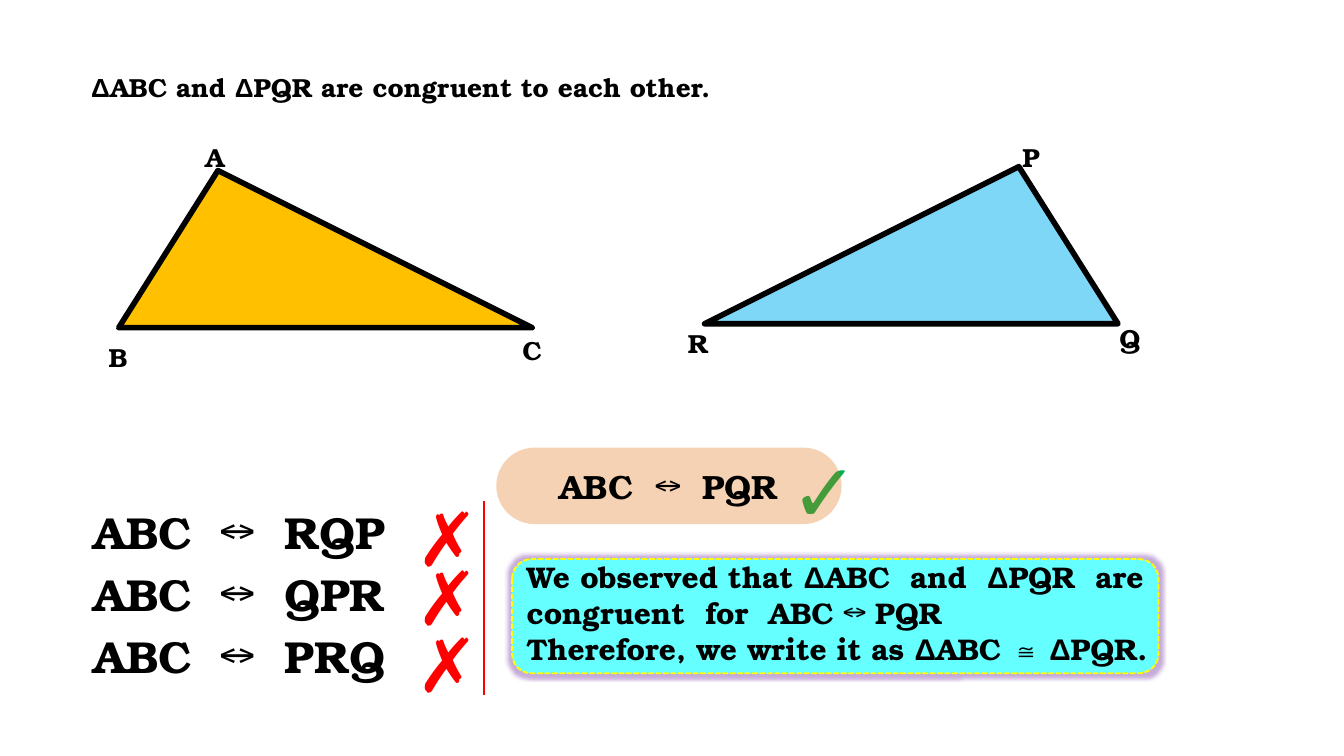
import lxml.etree
import pptx
import pptx.dml.color
import pptx.enum.dml
import pptx.enum.shapes
import pptx.enum.text
import pptx.oxml.ns
import pptx.util

Pt = pptx.util.Pt
SHAPE = pptx.enum.shapes.MSO_SHAPE
ALIGN = pptx.enum.text.PP_ALIGN
qn = pptx.oxml.ns.qn

COLORS = {
    "black": "000000", "amber": "FFC000", "blue": "00B0F0", "red": "FF0000",
    "green": "00B050", "orange": "E46C0A", "cyan": "66FFFF",
    "yellow": "FFFF00", "purple": "7030A0",
}


def rgb(name):
    return pptx.dml.color.RGBColor.from_string(COLORS[name])


def add_alpha(color_element, percent):
    alpha = lxml.etree.SubElement(color_element, qn("a:alpha"))
    alpha.set("val", str(percent * 1000))


class SlideBuilder:
    body_font = "TeX Gyre Bonum"
    symbol_font = "Arial"
    mark_font = "Calibri"

    def __init__(self, slide):
        self.slide = slide

    def set_lines(self, frame, lines, size, color="black", font=None, align=ALIGN.LEFT):
        """Fill a frame; stretches between bars take the symbol font."""
        for index, line in enumerate(lines):
            para = frame.paragraphs[0] if index == 0 else frame.add_paragraph()
            para.alignment = align
            for part, text in enumerate(line.split("|")):
                if not text:
                    continue
                span = para.add_run()
                span.text = text
                span.font.name = self.symbol_font if part % 2 else font or self.body_font
                span.font.size = Pt(size)
                span.font.bold = True
                span.font.color.rgb = rgb(color)

    def text(self, left, top, width, height, lines, size, wrap=True, **style):
        box = self.slide.shapes.add_textbox(Pt(left), Pt(top), Pt(width), Pt(height))
        box.text_frame.word_wrap = wrap
        box.text_frame.auto_size = pptx.enum.text.MSO_AUTO_SIZE.SHAPE_TO_FIT_TEXT
        self.set_lines(box.text_frame, lines, size, **style)

    def shape(self, kind, left, top, width, height, fill, adjust, opacity=100):
        shape = self.slide.shapes.add_shape(kind, Pt(left), Pt(top), Pt(width), Pt(height))
        shape.shadow.inherit = False
        shape.adjustments[0] = adjust
        shape.fill.solid()
        shape.fill.fore_color.rgb = rgb(fill)
        if opacity < 100:
            add_alpha(shape._element.spPr.find(qn("a:solidFill"))[0], opacity)
        shape.line.fill.background()
        return shape

    def outline(self, shape, color, width):
        shape.line.color.rgb = rgb(color)
        shape.line.width = Pt(width)

    def triangle(self, left, top, fill, opacity=100, flipped=False):
        shape = self.shape(SHAPE.ISOSCELES_TRIANGLE, left, top, 221.5, 84.2,
                           fill, 0.24, opacity)
        self.outline(shape, "black", 3)
        lxml.etree.SubElement(shape._element.spPr.find(qn("a:ln")), qn("a:round"))
        if flipped:
            shape._element.spPr.find(qn("a:xfrm")).set("flipH", "1")

    def glow(self, shape, color, radius, opacity):
        effects = shape._element.spPr.find(qn("a:effectLst"))
        glow = lxml.etree.SubElement(effects, qn("a:glow"), rad=str(int(Pt(radius))))
        tint = lxml.etree.SubElement(glow, qn("a:srgbClr"), val=COLORS[color])
        add_alpha(tint, opacity)

    def line(self, x1, y1, x2, y2, color, width):
        line = self.slide.shapes.add_connector(
            pptx.enum.shapes.MSO_CONNECTOR.STRAIGHT, Pt(x1), Pt(y1), Pt(x2), Pt(y2))
        self.outline(line, color, width)
        lxml.etree.SubElement(line._element.spPr, qn("a:effectLst"))


def main():
    deck = pptx.Presentation()
    deck.slide_width, deck.slide_height = Pt(720), Pt(405)
    page = SlideBuilder(deck.slides.add_slide(deck.slide_layouts[6]))

    # Statement
    page.text(41.8, 34.6, 354, 24.5,
              ["|Δ|ABC and |Δ|PQR are congruent to each other."], 14)

    # Triangles with their corner labels
    page.triangle(63.6, 91.4, "amber")
    page.triangle(377.5, 89.3, "blue", opacity=50, flipped=True)
    for label, left, top in [("A", 100, 72), ("B", 48.2, 179.3), ("C", 270, 175.7)]:
        page.text(left, top, 30.2, 24.5, [label], 14, align=ALIGN.CENTER)
    for label, left, top in [("P", 540.7, 72), ("R", 361.4, 172), ("Q", 592.6, 169.2)]:
        page.text(left, top, 25, 24.5, [label], 14, wrap=False)

    # Wrong correspondences, each with a cross
    wrong = [("RQP", 260), ("QPR", 291.6), ("PRQ", 327.6)]
    for row, (order, cross_top) in enumerate(wrong):
        page.text(43.2, 267.1 + 33.1 * row, 256.3, 36, [f"ABC  ↔  {order}"], 24)
        page.text(216, cross_top, 38.9, 55.4, ["✗"], 40,
                  color="red", font=page.mark_font)
    page.line(259.2, 268.6, 259.2, 372.2, "red", 0.75)

    # Right correspondence with a tick
    page.text(416.2, 232.6, 38.9, 60.5, ["✓"], 44, color="green", font=page.mark_font)
    pill = page.shape(SHAPE.ROUNDED_RECTANGLE, 265.9, 239.8, 185, 41,
                      "orange", 0.5, opacity=30)
    pill.text_frame.vertical_anchor = pptx.enum.text.MSO_ANCHOR.MIDDLE
    page.set_lines(pill.text_frame, ["ABC  ↔  PQR"], 18, align=ALIGN.CENTER)

    # Conclusion panel
    panel = page.shape(SHAPE.ROUNDED_RECTANGLE, 274.3, 299.5, 346.3, 61.2, "cyan", 0.17)
    page.outline(panel, "yellow", 1)
    panel.line.dash_style = pptx.enum.dml.MSO_LINE.SQUARE_DOT
    page.glow(panel, "purple", 4, 40)
    page.text(275, 295.9, 358.6, 65.5, [
        "We observed that |Δ|ABC  and  |Δ|PQR  are congruent  for  ABC ↔ PQR",
        "Therefore, we write it as |Δ|ABC |≅ Δ|PQR.",
    ], 16)

    deck.save("out.pptx")


if __name__ == "__main__":
    main()
